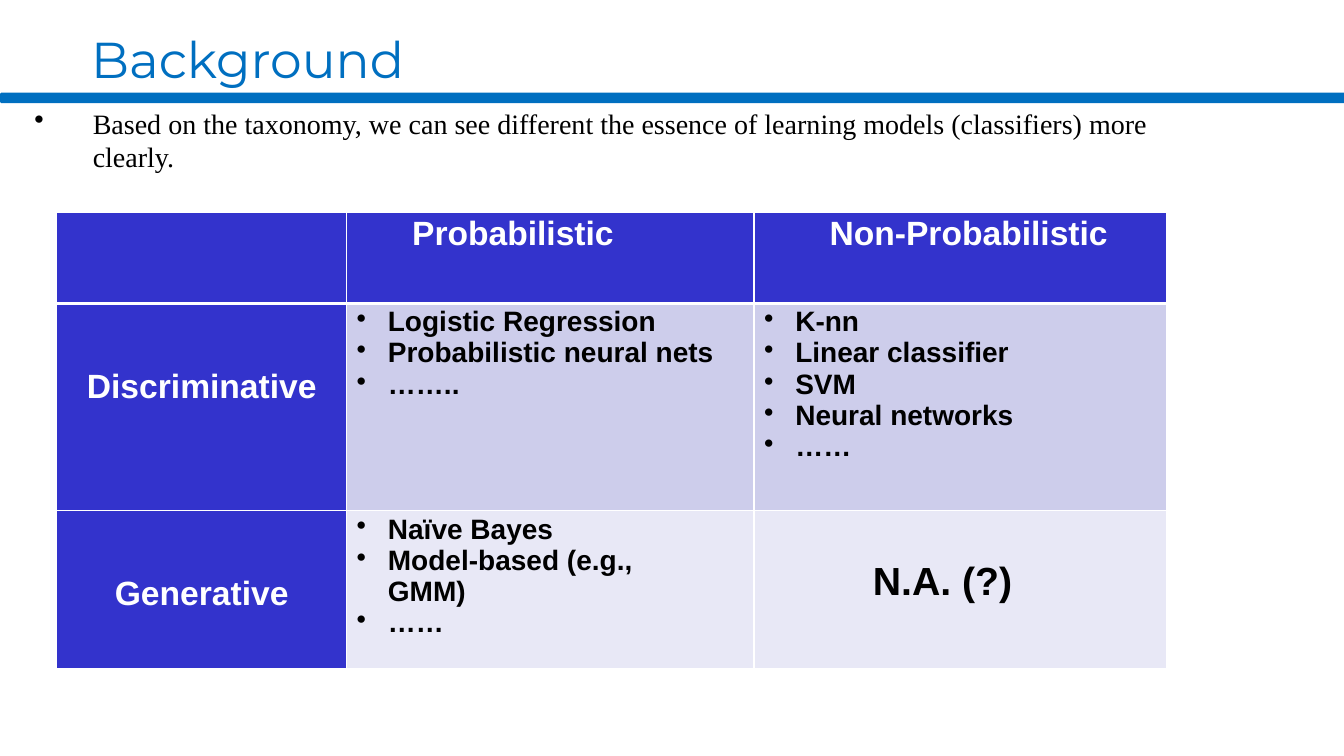
import pptx
import pptx.util
import pptx.dml.color
import pptx.enum.text
import pptx.oxml
import lxml.etree

Inches, Pt = pptx.util.Inches, pptx.util.Pt
RGB = pptx.dml.color.RGBColor
PP, MSO = pptx.enum.text.PP_ALIGN, pptx.enum.text.MSO_ANCHOR
qn = pptx.oxml.ns.qn

BLUE = RGB(0x00, 0x6F, 0xC0)
NAVY = RGB(0x33, 0x33, 0xCC)
LILAC = RGB(0xCD, 0xCD, 0xEB)
PALE = RGB(0xE8, 0xE8, 0xF6)
WHITE = RGB(0xFF, 0xFF, 0xFF)
BLACK = RGB(0, 0, 0)

WIDE, HIGH = Inches(13.33), Inches(7.5)
COLS = (26.1, 36.7, 37.2)
ROWS = (20, 45.4, 34.6)
HEADS = (("", 0), ("Probabilistic", 0.65), ("Non-Probabilistic", 0.75))
KINDS = (
    ("Discriminative", LILAC,
     "Logistic Regression\nProbabilistic neural nets\n……..",
     "K-nn\nLinear classifier\nSVM\nNeural networks\n……"),
    ("Generative", PALE,
     "Naïve Bayes\nModel-based (e.g., GMM)\n……", "N.A. (?)"),
)


def area(left, top, width, height):
    """Turn percentages of the slide into a box."""
    return (int(WIDE * left / 100), int(HIGH * top / 100),
            int(WIDE * width / 100), int(HIGH * height / 100))


def style(para, face, size, color, bold=False):
    """Format every run of a paragraph."""
    for run in para.runs:
        font = run.font
        font.name, font.size, font.bold = face, Pt(size), bold
        font.color.rgb = color


def bullet(para, left, hang):
    """Give a paragraph a round bullet and a hanging indent."""
    props = para._p.get_or_add_pPr()
    props.set("marL", str(Inches(left)))
    props.set("indent", str(-Inches(hang)))
    lxml.etree.SubElement(props, qn("a:buChar")).set("char", "•")


def inset(frame, left=0, top=0, right=0):
    """Set the inner margins of a text frame or cell, in inches."""
    frame.margin_left, frame.margin_top = Inches(left), Inches(top)
    frame.margin_right, frame.margin_bottom = Inches(right), 0


def add_title(slide, box):
    """Place the slide title."""
    title = slide.shapes.title
    title.left, title.top, title.width, title.height = box
    frame = title.text_frame
    frame.text = "Background"
    frame.vertical_anchor = MSO.TOP
    inset(frame, 0.09, 0.25)
    para = frame.paragraphs[0]
    para.alignment = PP.LEFT
    style(para, "Montserrat", 36, BLUE)


def add_bar(slide, box):
    """Draw the rule with clipped left corners."""
    left, top, width, height = box
    cut = height // 8
    right, low = left + width, top + height
    path = slide.shapes.build_freeform(right, top)
    path.add_line_segments([(right, low), (left + cut, low), (left, low - cut),
                            (left, top + cut), (left + cut, top)])
    bar = path.convert_to_shape()
    bar.shadow.inherit = False
    bar.fill.solid()
    bar.fill.fore_color.rgb = BLUE
    bar.line.fill.background()


def add_lead(slide, box):
    """Write the bulleted opening sentence."""
    frame = slide.shapes.add_textbox(*box).text_frame
    frame.word_wrap = True
    inset(frame, 0, 0.01)
    frame.text = ("Based on the taxonomy, we can see different the essence of "
                  "learning models (classifiers) more clearly.")
    para = frame.paragraphs[0]
    bullet(para, 0.6, 0.58)
    style(para, "Times New Roman", 20, BLACK)


def edge(cell, fill, top=1, low=1):
    """Fill a cell and give it white borders."""
    props = cell._tc.get_or_add_tcPr()
    for tag, width in (("L", 1), ("R", 1), ("T", top), ("B", low)):
        line = lxml.etree.SubElement(props, qn("a:ln" + tag))
        line.set("w", str(Pt(width)))
        solid = lxml.etree.SubElement(line, qn("a:solidFill"))
        lxml.etree.SubElement(solid, qn("a:srgbClr")).set("val", str(WHITE))
    cell.fill.solid()
    cell.fill.fore_color.rgb = fill


def write(cell, text, size, color, left=0, top=0.03, right=0):
    """Set bold text in a cell and return its paragraphs."""
    inset(cell, left, top, right)
    cell.text = text
    paras = cell.text_frame.paragraphs
    for para in paras:
        style(para, "Arial", size, color, True)
    return paras


def add_grid(slide, box):
    """Build the table of model types."""
    table = slide.shapes.add_table(len(ROWS), len(COLS), *box).table
    table.first_row = table.horz_banding = False
    for col, share in zip(table.columns, COLS):
        col.width = int(box[2] * share / 100)
    for row, share in zip(table.rows, ROWS):
        row.height = int(box[3] * share / 100)
    for c, (head, left) in enumerate(HEADS):
        cell = table.cell(0, c)
        write(cell, head, 24, WHITE, left)
        edge(cell, NAVY, low=3)
    for r, (kind, tint, *lists) in enumerate(KINDS, 1):
        top = 3 if r == 1 else 1
        name = table.cell(r, 0)
        write(name, kind, 24, WHITE, top=0.64)[0].alignment = PP.CENTER
        edge(name, NAVY, top)
        for c, text in enumerate(lists, 1):
            cell = table.cell(r, c)
            if "\n" in text:
                right = 0.6 if "GMM" in text else 0
                for para in write(cell, text, 20, BLACK, right=right):
                    bullet(para, 0.41, 0.31)
            else:
                write(cell, text, 28, BLACK, left=1.18, top=0.49)
            edge(cell, tint, top)


def main():
    """Make the slide and save it."""
    deck = pptx.Presentation()
    deck.slide_width, deck.slide_height = WIDE, HIGH
    slide = deck.slides.add_slide(deck.slide_layouts[5])
    add_title(slide, area(6.1, 0.4, 74.8, 11.3))
    add_bar(slide, area(0, 12.25, 100, 1.4))
    add_lead(slide, area(2.4, 13.9, 87, 9.5))
    add_grid(slide, area(4.23, 28.05, 82.6, 60.4))
    deck.save("out.pptx")


if __name__ == "__main__":
    main()
